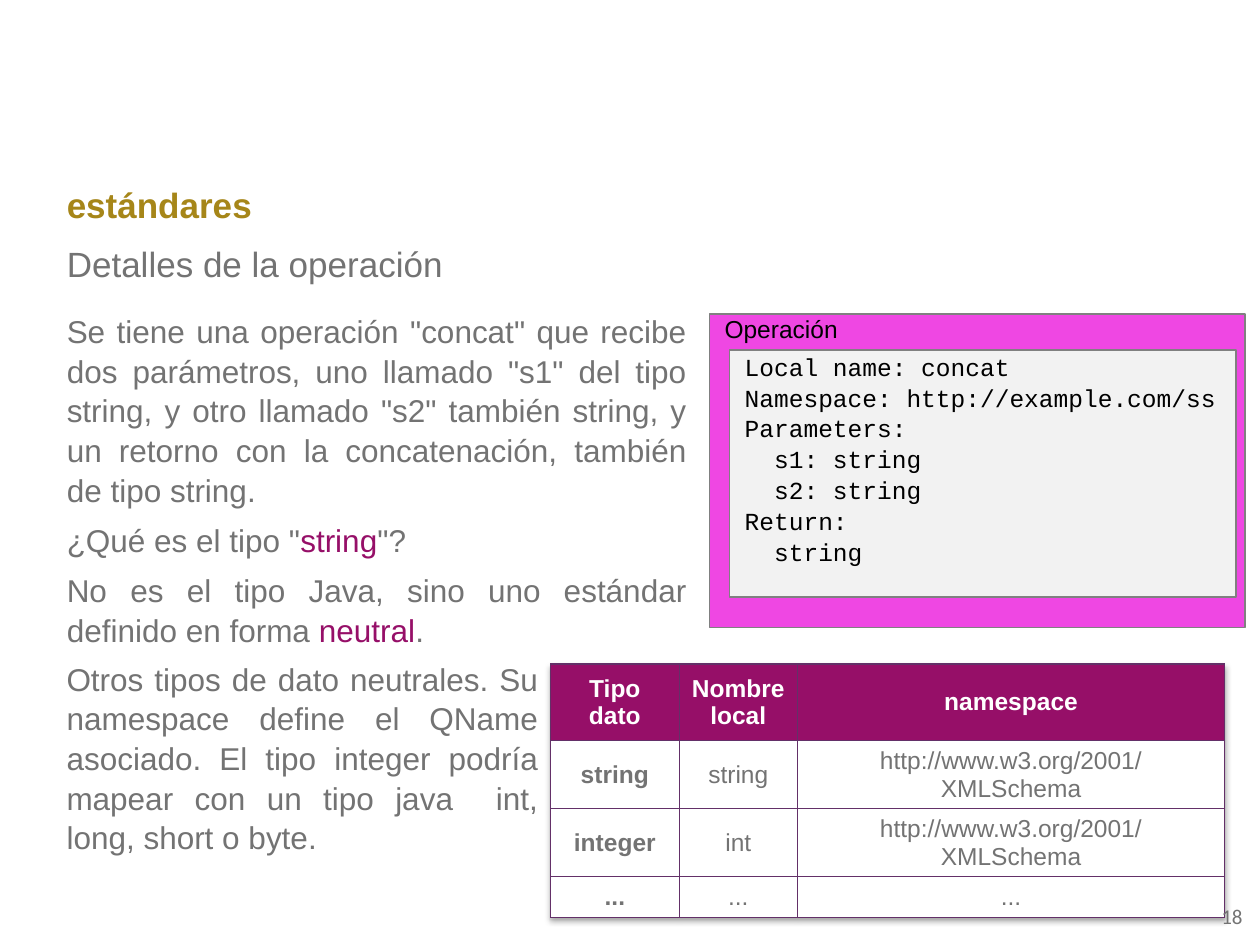
"""Builds the slide on the details of a web service operation."""
from lxml import etree
from pptx import Presentation
from pptx.dml.color import RGBColor
from pptx.enum.shapes import MSO_SHAPE as Shape
from pptx.enum.text import MSO_ANCHOR as Anchor, MSO_AUTO_SIZE as AutoSize, PP_ALIGN as Align
from pptx.oxml import parse_xml
from pptx.oxml.ns import nsdecls, qn
from pptx.util import Inches, Pt

GRAY = RGBColor(0x73, 0x73, 0x73)
PURPLE = RGBColor(0x96, 0x0F, 0x68)
GOLD = RGBColor(0xA6, 0x86, 0x19)
PINK = RGBColor(0xEF, 0x47, 0xE3)
PALE = RGBColor(0xF2, 0xF2, 0xF2)
BORDER = RGBColor(0x80, 0x80, 0x80)
WHITE = RGBColor(0xFF, 0xFF, 0xFF)
BLACK = RGBColor(0x00, 0x00, 0x00)
TABLE_LINE = RGBColor(0x63, 0x30, 0x68)


def place(shape, left, top, width, height, anchor=Anchor.TOP):
    shape.left, shape.top = Inches(left), Inches(top)
    shape.width, shape.height = Inches(width), Inches(height)
    frame = shape.text_frame
    frame.word_wrap = True
    frame.auto_size = AutoSize.NONE
    frame.vertical_anchor = anchor
    return frame


def write(frame, paragraphs, size, color, font="Arial", bold=False, align=Align.LEFT, before=0, spacing=1.0):
    for number, runs in enumerate(paragraphs):
        para = frame.add_paragraph() if number else frame.paragraphs[0]
        properties = para._p.get_or_add_pPr()
        properties.set("marL", "0")
        properties.set("indent", "0")
        etree.SubElement(properties, qn("a:buNone"))
        para.alignment = align
        para.space_before = Pt(before if number else 0)
        para.line_spacing = spacing
        for text, run_color in runs:
            span = para.add_run()
            span.text = text
            span.font.name = font
            span.font.size = Pt(size)
            span.font.bold = bold
            span.font.color.rgb = run_color or color


deck = Presentation()
deck.slide_width, deck.slide_height = Inches(10), Inches(7.5)
page = deck.slides.add_slide(deck.slide_layouts[3])
title, subtitle, body = list(page.placeholders)[:3]

frame = place(title, 0.43, 1.39, 9.06, 0.47, Anchor.MIDDLE)
write(frame, [[("estándares", None)]], 20, GOLD, bold=True)

frame = place(subtitle, 0.43, 1.86, 9.06, 0.47, Anchor.MIDDLE)
write(frame, [[("Detalles de la operación", None)]], 20, GRAY)

explanation = [
    [('Se tiene una operación "concat" que recibe dos parámetros, uno llamado "s1" del tipo string, '
      'y otro llamado "s2" también string, y un retorno con la concatenación, también de tipo string.', None)],
    [('¿Qué es el tipo "', None), ("string", PURPLE), ('"?', None)],
    [("No es el tipo Java, sino uno estándar definido en forma ", None), ("neutral", PURPLE), (".", None)],
]
frame = place(body, 0.43, 2.41, 5.12, 2.68)
write(frame, explanation, 18, GRAY, align=Align.JUSTIFY, before=6, spacing=1.05)

code = ["Local name: concat", "Namespace: http://example.com/ss", "Parameters:",
        "  s1: string", "  s2: string", "Return:", "  string"]
operation_boxes = [
    ((5.63, 2.49, 4.25, 2.49), PINK, "Arial", 1.0, ["Operación"]),
    ((5.79, 2.78, 4.02, 1.96), PALE, "Courier New", 1.05, code),
]
for bounds, fill, font, spacing, lines in operation_boxes:
    box = page.shapes.add_shape(Shape.RECTANGLE, 0, 0, 0, 0)
    box.shadow.inherit = False
    box.fill.solid()
    box.fill.fore_color.rgb = fill
    box.line.color.rgb = BORDER
    box.line.width = Pt(1)
    frame = place(box, *bounds)
    frame.margin_left = frame.margin_right = Inches(0.12)
    frame.margin_top = frame.margin_bottom = 0
    write(frame, [[(line, None)] for line in lines], 14, BLACK, font, spacing=spacing)

schema = "http://www.w3.org/2001/XMLSchema"
rows = [
    ("Tipo dato", "Nombre local", "namespace"),
    ("string", "string", schema),
    ("integer", "int", schema),
    ("...", "...", "..."),
]
table = page.shapes.add_table(4, 3, Inches(4.37), Inches(5.27), Inches(5.35), Inches(2.01)).table
table._tbl.tblPr.insert(0, parse_xml(
    f'<a:effectLst {nsdecls("a")}><a:outerShdw blurRad="40000" dist="23000" dir="5400000" rotWithShape="0">'
    '<a:srgbClr val="000000"><a:alpha val="35000"/></a:srgbClr></a:outerShdw></a:effectLst>'))
for column, width in zip(table.columns, (1.02, 0.94, 3.39)):
    column.width = Inches(width)
for row, height in zip(table.rows, (0.61, 0.54, 0.54, 0.32)):
    row.height = Inches(height)
for row_number, texts in enumerate(rows):
    header = row_number == 0
    for column_number, text in enumerate(texts):
        cell = table.cell(row_number, column_number)
        cell.vertical_anchor = Anchor.MIDDLE
        write(cell.text_frame, [[(text, None)]], 14, WHITE if header else GRAY,
              bold=header or column_number == 0, align=Align.CENTER)
        properties = cell._tc.get_or_add_tcPr()
        for side in ("lnL", "lnR", "lnT", "lnB"):
            properties.append(parse_xml(
                f'<a:{side} {nsdecls("a")} w="{Pt(0.75)}"><a:solidFill>'
                f'<a:srgbClr val="{TABLE_LINE}"/></a:solidFill></a:{side}>'))
        cell.fill.solid()
        cell.fill.fore_color.rgb = PURPLE if header else WHITE

types_note = ("Otros tipos de dato neutrales. Su namespace define el QName asociado. "
              "El tipo integer podría mapear con un tipo java  int, long, short o byte.")
box = page.shapes.add_textbox(0, 0, 0, 0)
frame = place(box, 0.43, 5.17, 3.94, 1.65)
write(frame, [[(types_note, None)]], 18, GRAY, align=Align.JUSTIFY, spacing=1.05)

page_number = page.shapes.add_textbox(0, 0, 0, 0)
frame = place(page_number, 9.24, 7.07, 0.72, 0.4, Anchor.MIDDLE)
write(frame, [[("18", None)]], 12, GRAY, "Calibri", align=Align.RIGHT)

deck.save("out.pptx")
